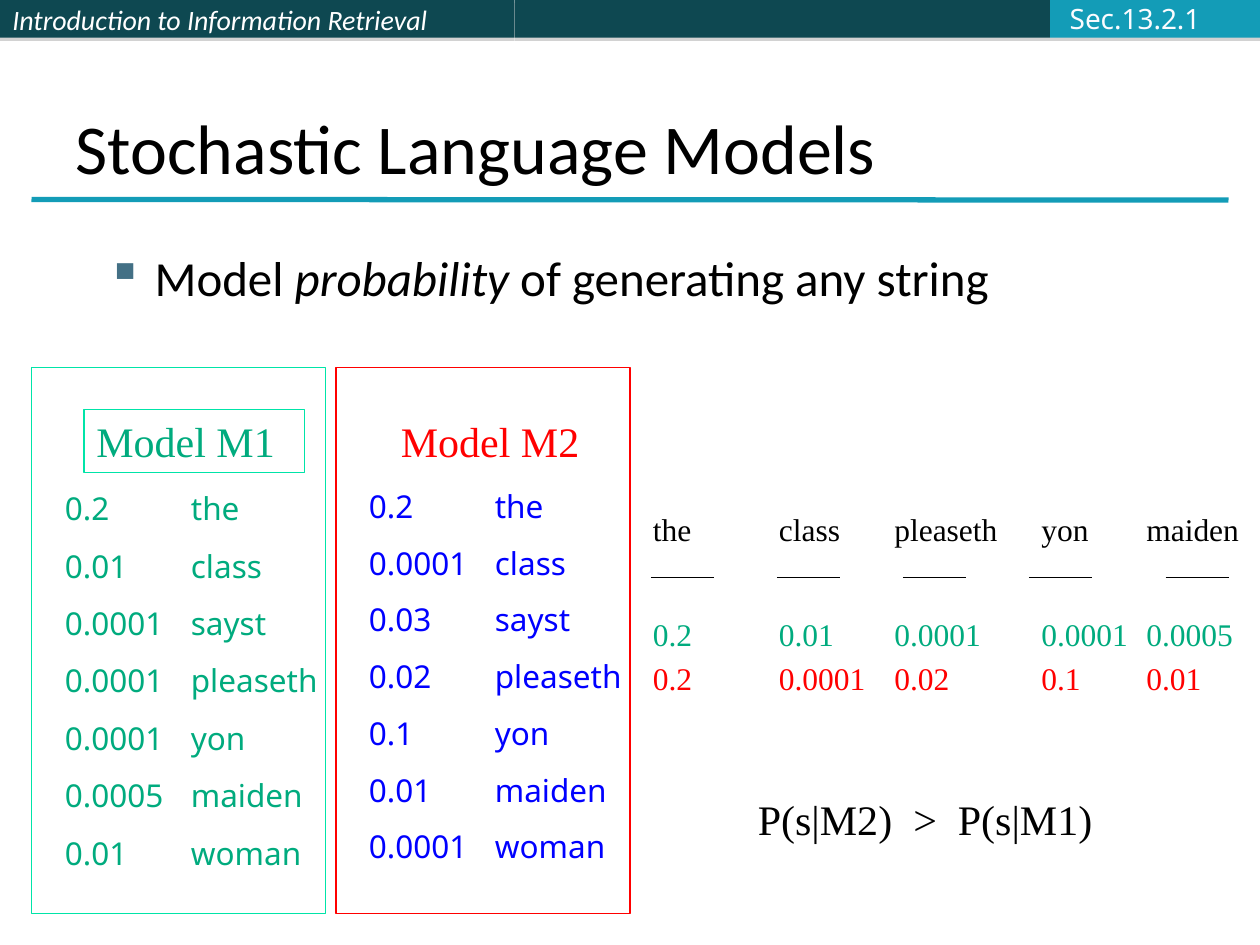
from lxml.etree import SubElement
from pptx import Presentation
from pptx.dml.color import RGBColor
from pptx.enum.shapes import MSO_CONNECTOR as CONN, MSO_SHAPE as SHAPE
from pptx.enum.text import MSO_ANCHOR as ANCHOR, PP_ALIGN as ALIGN
from pptx.oxml.ns import qn
from pptx.util import Inches, Pt

SANS, SERIF, BODY = "Noto Sans", "Times New Roman", "Calibri"
BLACK, WHITE, GREEN, MINT = "000000", "FFFFFF", "00AB7E", "00E4A8"
RED, BLUE, DARK, TEAL, SLATE = "FF0000", "0000FF", "0E4851", "139CB7", "437085"

TITLE = "Stochastic Language Models"
BULLET = [("Model ", False), ("probability", True), (" of generating any string", False)]
BANDS = [(0, 49, DARK), (49, 51, DARK), (100, 20, TEAL)]
WORDS = ["the", "class", "sayst", "pleaseth", "yon", "maiden", "woman"]
M1 = ["0.2", "0.01", "0.0001", "0.0001", "0.0001", "0.0005", "0.01"]
M2 = ["0.2", "0.0001", "0.03", "0.02", "0.1", "0.01", "0.0001"]
STRING = ["the", "class", "pleaseth", "yon", "maiden"]
COLUMNS = [61, 73, 84, 98, 108]
RULES = [62, 74, 86, 98, 111]

prs = Presentation()
prs.slide_width, prs.slide_height = Inches(10), Inches(7.5)
UNIT = prs.slide_width / 120
s = prs.slides.add_slide(prs.slide_layouts[5])


def rgb(value):
    return RGBColor.from_string(value)


def grid(*units):
    return [round(u * UNIT) for u in units]


def write(sp, paragraphs, size=18, font=SERIF, color=BLACK, italic=False,
          anchor=ANCHOR.TOP, wrap=True, before=0, line=None, tab=None, bullet=None):
    tf = sp.text_frame
    tf.word_wrap, tf.vertical_anchor = wrap, anchor
    for i, runs in enumerate(paragraphs):
        p = tf.paragraphs[0] if i == 0 else tf.add_paragraph()
        p.alignment = ALIGN.LEFT
        p.space_before = Pt(before if i else 0)
        if line:
            p.line_spacing = Pt(line)
        pPr = p._p.get_or_add_pPr()
        if bullet:
            pPr.set("marL", str(Inches(0.38)))
            pPr.set("indent", str(-Inches(0.38)))
            SubElement(SubElement(pPr, qn("a:buClr")), qn("a:srgbClr"), val=SLATE)
            SubElement(pPr, qn("a:buFont"), typeface="OpenSymbol")
            SubElement(pPr, qn("a:buChar"), char=bullet)
        if tab:
            SubElement(SubElement(pPr, qn("a:tabLst")), qn("a:tab"),
                       pos=str(Inches(tab)), algn="l")
        for text, slanted in [(runs, italic)] if isinstance(runs, str) else runs:
            r = p.add_run()
            r.text = text
            r.font.size, r.font.name = Pt(size), font
            r.font.italic, r.font.color.rgb = slanted, rgb(color)


def add_text(box, paragraphs, **fmt):
    write(s.shapes.add_textbox(*grid(*box)), paragraphs, **fmt)


def add_rect(box, fill=None, line=None):
    sp = s.shapes.add_shape(SHAPE.RECTANGLE, *grid(*box))
    sp.shadow.inherit = False
    if fill:
        sp.fill.solid()
        sp.fill.fore_color.rgb = rgb(fill)
    else:
        sp.fill.background()
    if line:
        sp.line.color.rgb, sp.line.width = rgb(line), Pt(0.75)
    else:
        sp.line.fill.background()
    return sp


def add_shadow(sp):
    shadow = SubElement(sp._element.spPr.find(qn("a:effectLst")), qn("a:outerShdw"),
                        blurRad="0", dist=str(Pt(1.8)), dir="5400000", rotWithShape="0")
    color = SubElement(shadow, qn("a:srgbClr"), val="808080")
    SubElement(color, qn("a:alpha"), val="35000")


def add_line(x1, y1, x2, y2, color=BLACK, width=0.75):
    c = s.shapes.add_connector(CONN.STRAIGHT, *grid(x1, y1, x2, y2))
    c.line.color.rgb, c.line.width = rgb(color), Pt(width)
    SubElement(c._element.spPr, qn("a:effectLst"))


bands = [add_rect((x, 0, w, 3.6), fill=color) for x, w, color in BANDS]
for band in bands:
    add_shadow(band)
write(bands[0], ["Introduction to Information Retrieval"], size=16, font=BODY,
      color=WHITE, italic=True, anchor=ANCHOR.MIDDLE)
add_line(3, 19, 117, 19.05, TEAL, 3)

title = s.shapes.title
title.left, title.top, title.width, title.height = grid(6, 3.6, 108, 15)
write(title, [TITLE], size=40, font=BODY, anchor=ANCHOR.BOTTOM)
add_text((9, 23, 102, 14.3), [BULLET], size=28, font=BODY, bullet="▪")

m1_rows, m2_rows = ([f"{v}\t{w}" for v, w in zip(m, WORDS)] for m in (M1, M2))
add_text((5, 46, 32, 37.7), m1_rows, font=SANS, color=GREEN, before=11.2, line=21.6, tab=1)
write(add_rect((8, 39, 21, 6), line=MINT), ["Model M1"], size=24, color=GREEN)
add_text((37, 39, 21, 6), ["Model M2"], size=24, color=RED)
for x, color in [(3, MINT), (32, RED)]:
    add_rect((x, 35, 28, 52), line=color)
add_text((33.95, 44, 28, 39), m2_rows, font=SANS, color=BLUE, line=32.4, tab=1)

p1, p2 = ([dict(zip(WORDS, m))[w] for w in STRING] for m in (M1, M2))
for y, values, color in [(48, STRING, BLACK), (58, p1, GREEN), (62.2, p2, RED)]:
    for x, value in zip(COLUMNS, values):
        add_text((x, y, min(13, 120 - x), 4.8), [value], color=color)
for x in RULES:
    add_line(x, 55, x + 6, 55)

add_text((71, 75, 35, 6), ["P(s|M2)  >  P(s|M1)"], size=24)
add_text((100.7, -0.5, 14.9, 4.4), ["Sec.13.2.1"], size=16, font=SANS, color="FBFCFF",
         anchor=ANCHOR.MIDDLE, wrap=False)

prs.save("out.pptx")
